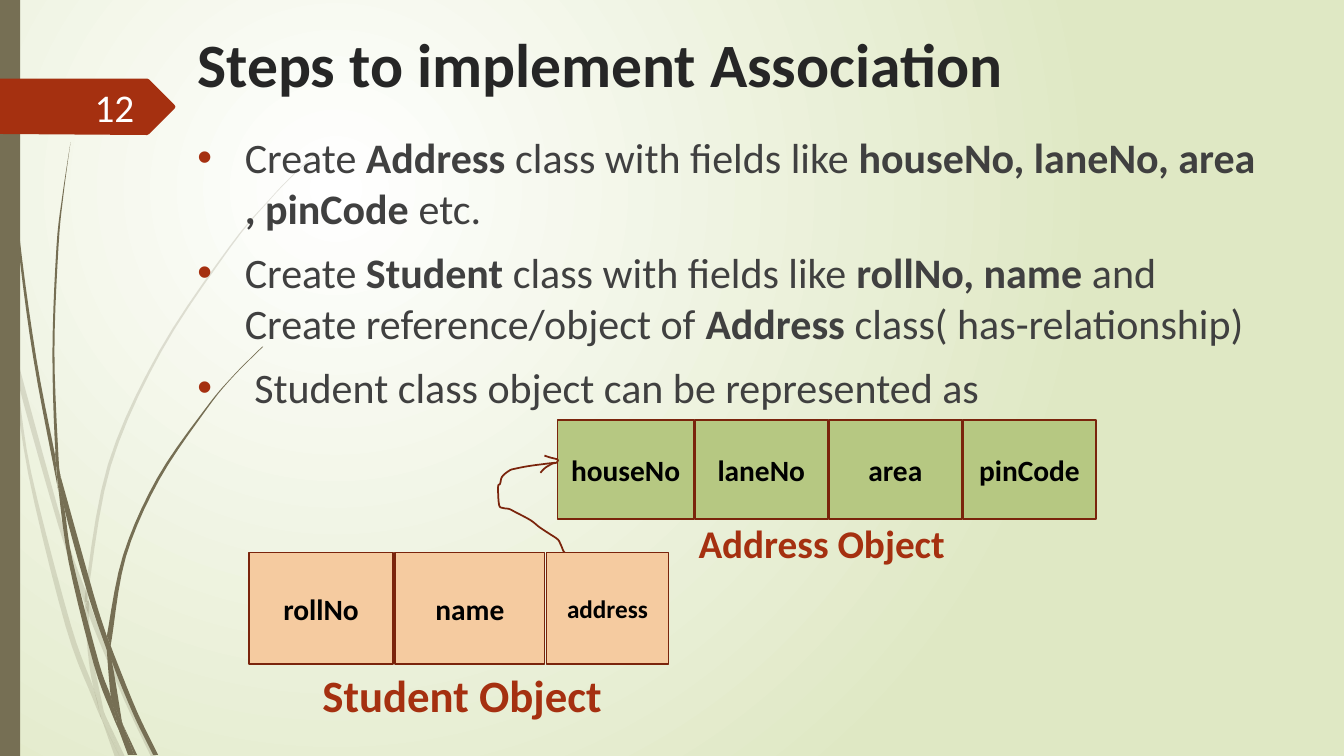
from lxml.etree import SubElement
from pptx import Presentation
from pptx.dml.color import RGBColor
from pptx.enum.shapes import MSO_SHAPE
from pptx.enum.text import MSO_ANCHOR, PP_ALIGN
from pptx.oxml.ns import qn
from pptx.util import Inches, Pt

HUES = {
    "white": "FFFFFF", "mist": "DFE8C4", "bark": "766F54", "rust": "A53010",
    "edge": "7A240C", "peach": "F5CBA0", "moss": "B6C882",
    "title": "262626", "body": "404040", "black": "000000",
}
FONT = "Calibri"
WIDE, HIGH = 13.33, 7.5

TITLE = "Steps to implement Association"
# Asterisks enclose bold words.
STEPS = [
    "Create *Address* class with fields like *houseNo, laneNo, area , pinCode* etc.",
    "Create *Student* class with fields like *rollNo, name *and "
    "Create reference/object of *Address* class( has-relationship)",
    " Student class object can be represented as",
]
# left, top, height, gap, fill, cells (name, width, size)
ROWS = [
    (2.47, 5.48, 1.11, 0.02, "peach",
     [("rollNo", 1.43, 21), ("name", 1.48, 21), ("address", 1.21, 18)]),
    (5.53, 4.17, 0.98, 0.01, "moss",
     [("houseNo", 1.35, 21), ("laneNo", 1.32, 21),
      ("area", 1.32, 21), ("pinCode", 1.32, 21)]),
]
LABELS = [("Student Object", (3.1, 6.58, 3.03, 0.64), 32),
          ("Address Object", (6.83, 5.1, 3.03, 0.57), 28)]
TAG = [(0, 0.78), (1.46, 0.78), (1.48, 0.79), (1.73, 1.04), (1.74, 1.06),
       (1.73, 1.08), (1.48, 1.33), (1.46, 1.34), (0, 1.33)]
# Each blade of grass has one edge going out and one coming back.
PALE = [
    ([(0.11, 3.5), (0.09, 3.22), (0, 2.82)], [(0, 2.99), (0.1, 3.44)]),
    ([(0.14, 3.45), (0.17, 3.76), (0.58, 5.22), (0.84, 5.99)],
     [(0.85, 5.86), (0.62, 5.2), (0.14, 3.45)]),
    ([(0.88, 5.96), (0.88, 6.1), (1.23, 6.94), (1.5, 7.51)],
     [(1.55, 7.51), (1.27, 6.92), (0.92, 6.07)]),
    ([(1.19, 7.51), (1.24, 7.51)], [(1.05, 7.11)]),
    ([(0.11, 3.5), (0.28, 4.7), (0.65, 6.21), (0.92, 6.93), (1.01, 7.14)],
     [(0.99, 7.07), (0.93, 6.83), (0.7, 6.19), (0.31, 4.69), (0.17, 3.76), (0.11, 3.5)]),
    ([(0.84, 5.99), (0.87, 6.46), (0.93, 6.83), (1.05, 7.11)],
     [(1.03, 7.06), (0.91, 6.46), (0.88, 6.1), (0.84, 5.99)]),
    ([(0.88, 5.96), (0.88, 5.84), (1.1, 4.62), (1.6, 3.49), (2.29, 2.45),
      (2.68, 1.98), (2.9, 1.75), (3.12, 1.54)],
     [(3.12, 1.53), (2.89, 1.75), (2.68, 1.97), (2.28, 2.44), (1.58, 3.48),
      (1.07, 4.61), (0.85, 5.84), (0.88, 5.96)]),
    ([(1.01, 7.14), (1.14, 7.51)], [(1.19, 7.51), (1.01, 7.14)]),
    ([(0.88, 6.08), (0.88, 5.96), (0.85, 5.86)], [(0.84, 5.99), (0.88, 6.1)]),
    ([(0.93, 6.83), (0.99, 7.07), (1.01, 7.14), (1.19, 7.51)],
     [(1.05, 7.11), (0.96, 6.92), (0.93, 6.83)]),
]
DARK = [
    ([(0.03, 0), (0.04, 0.48), (0.07, 1.1), (0.17, 2.33), (0.33, 3.55),
      (0.56, 4.77), (0.57, 4.81)],
     [(0.55, 4.53), (0.36, 3.55), (0.19, 2.32), (0.08, 1.09), (0.05, 0.48), (0.04, 0)]),
    ([(0.6, 4.72), (0.64, 5.05), (0.88, 5.92), (1.06, 6.45)],
     [(1.06, 6.31), (0.93, 5.9), (0.6, 4.72)]),
    ([(1.1, 6.41), (1.11, 6.56), (1.32, 7.08), (1.52, 7.49)],
     [(1.57, 7.49), (1.36, 7.06), (1.13, 6.49)]),
    ([(0.57, 4.77), (0.68, 5.57), (0.93, 6.59), (1.11, 7.08), (1.17, 7.22)],
     [(1.16, 7.17), (1.1, 6.91), (0.98, 6.57), (0.72, 5.56), (0.64, 5.05), (0.57, 4.77)]),
    ([(0.6, 4.72), (0.58, 4.53), (0.54, 3.49), (0.58, 2.45), (0.63, 1.93), (0.7, 1.41)],
     [(0.7, 1.41), (0.62, 1.93), (0.56, 2.45), (0.52, 3.49), (0.55, 4.49), (0.6, 4.72)]),
    ([(1.33, 7.49), (1.36, 7.49)], [(1.22, 7.19)]),
    ([(0.57, 4.77), (0.64, 5.05)], [(0.6, 4.72), (0.55, 4.49), (0.55, 4.53)]),
    ([(1.1, 6.41), (1.11, 6.33), (1.25, 5.52), (1.58, 4.76), (2.05, 4.06),
      (2.31, 3.74), (2.61, 3.44)],
     [(2.6, 3.44), (2.31, 3.73), (2.04, 4.05), (1.56, 4.74), (1.22, 5.51), (1.06, 6.31)]),
    ([(1.17, 7.22), (1.27, 7.49)], [(1.31, 7.49), (1.17, 7.22)]),
    ([(1.06, 6.45), (1.1, 6.91), (1.16, 7.06), (1.22, 7.19)],
     [(1.21, 7.16), (1.11, 6.56), (1.06, 6.45)]),
    ([(1.06, 6.45), (1.11, 6.56)], [(1.1, 6.41), (1.06, 6.31)]),
    ([(1.1, 6.91), (1.16, 7.17), (1.17, 7.22), (1.3, 7.49)],
     [(1.33, 7.49), (1.22, 7.19), (1.16, 7.06), (1.1, 6.91)]),
]
STEM = [(5.51, 4.59), (5.27, 4.62), (5.11, 4.65), (5.05, 4.67), (4.98, 4.73),
        (4.96, 4.8), (4.94, 4.83), (4.95, 5.01), (4.99, 5.04), (5.05, 5.05),
        (5.11, 5.08), (5.26, 5.16), (5.35, 5.23), (5.44, 5.29), (5.53, 5.35),
        (5.56, 5.4), (5.59, 5.47), (5.6, 5.47)]
BARB = [(5.4, 4.52), (5.46, 4.54), (5.53, 4.56), (5.52, 4.59), (5.48, 4.6),
        (5.41, 4.64), (5.36, 4.69)]


def hue(name):
    return RGBColor.from_string(HUES[name])


def smooth(pts, steps=5):
    """Sample a Catmull-Rom curve through the points."""
    ends = [pts[0], *pts, pts[-1]]
    out = [pts[0]]
    for a, b, c, d in zip(ends, ends[1:], ends[2:], ends[3:]):
        for i in range(1, steps + 1):
            t = i / steps
            out.append(tuple(
                (2 * q + (r - p) * t + (2 * p - 5 * q + 4 * r - s) * t ** 2
                 + (3 * q - p - 3 * r + s) * t ** 3) / 2
                for p, q, r, s in zip(a, b, c, d)))
    return out


def paint(shape, fill=None, line=None):
    shape.shadow.inherit = False
    if fill:
        shape.fill.solid()
        shape.fill.fore_color.rgb = hue(fill)
    else:
        shape.fill.background()
    if line:
        shape.line.color.rgb = hue(line)
        shape.line.width = Pt(1.25)
    else:
        shape.line.fill.background()
    return shape


def trace(pts, fill=None, line=None):
    dots = [(Inches(x), Inches(y)) for x, y in pts]
    pen = slide.shapes.build_freeform(*dots[0])
    pen.add_line_segments(dots[1:], close=bool(fill))
    return paint(pen.convert_to_shape(), fill, line)


def style(para, size, color, bold=False):
    for run in para.runs:
        font = run.font
        font.name, font.size, font.bold = FONT, Pt(size), bold
        font.color.rgb = hue(color)


def block(box):
    frame = slide.shapes.add_textbox(*map(Inches, box)).text_frame
    frame.word_wrap = True
    return frame


def write(frame, text, size, color, bold=False, align=PP_ALIGN.LEFT):
    frame.text = text
    para = frame.paragraphs[0]
    para.alignment = align
    style(para, size, color, bold)


def bullet(para):
    props = para._p.get_or_add_pPr()
    props.set("marL", str(Inches(0.47)))
    props.set("indent", str(-Inches(0.47)))
    tint = SubElement(props, qn("a:buClr"))
    SubElement(tint, qn("a:srgbClr"), val=HUES["rust"])
    SubElement(props, qn("a:buFont"), typeface="Arial")
    SubElement(props, qn("a:buChar"), char="•")


deck = Presentation()
deck.slide_width, deck.slide_height = Inches(WIDE), Inches(HIGH)
slide = deck.slides.add_slide(deck.slide_layouts[6])

back = slide.background.fill
back.gradient()
for stop, place, name in zip(back.gradient_stops, (0, 1), ("white", "mist")):
    stop.position = place
    stop.color.rgb = hue(name)
grad = slide._element.find(".//" + qn("a:gradFill"))
grad.remove(grad.find(qn("a:lin")))
glow = SubElement(grad, qn("a:path"), path="circle")
SubElement(glow, qn("a:fillToRect"), l="50000", t="50000", r="100000", b="100000")

for blades, faint in ((PALE, True), (DARK, False)):
    for out, home in blades:
        blade = trace(smooth(out) + smooth(home), "bark")
        if faint:
            tint = blade._element.spPr.find(".//" + qn("a:srgbClr"))
            SubElement(tint, qn("a:alpha"), val="20000")

paint(slide.shapes.add_shape(MSO_SHAPE.RECTANGLE, 0, 0, Inches(0.2), Inches(HIGH)), "bark")
trace(TAG, "rust")
write(block((1.86, 0.21, 10.47, 1.47)), TITLE, 44, "title", True)

body = block((1.86, 1.26, 10.75, 6.04))
for i, step in enumerate(STEPS):
    para = body.add_paragraph() if i else body.paragraphs[0]
    para.space_before = Pt(10)
    bullet(para)
    for part in step.split("*"):
        para.add_run().text = part
    style(para, 30, "body")
    for run in para.runs[1::2]:
        run.font.bold = True

number = block((0.58, 0.86, 0.85, 0.4))
number.vertical_anchor = MSO_ANCHOR.MIDDLE
write(number, "12", 28, "white", align=PP_ALIGN.RIGHT)

for left, top, high, gap, fill, cells in ROWS:
    for name, wide, size in cells:
        cell = slide.shapes.add_shape(
            MSO_SHAPE.RECTANGLE, *map(Inches, (left, top, wide, high)))
        paint(cell, fill, "edge").text_frame.vertical_anchor = MSO_ANCHOR.MIDDLE
        write(cell.text_frame, name, size, "black", True, PP_ALIGN.CENTER)
        left += wide + gap

for text, box, size in LABELS:
    write(block(box), text, size, "rust", True)
for pts in (STEM, BARB):
    trace(smooth(pts), line="edge")

deck.save("out.pptx")
